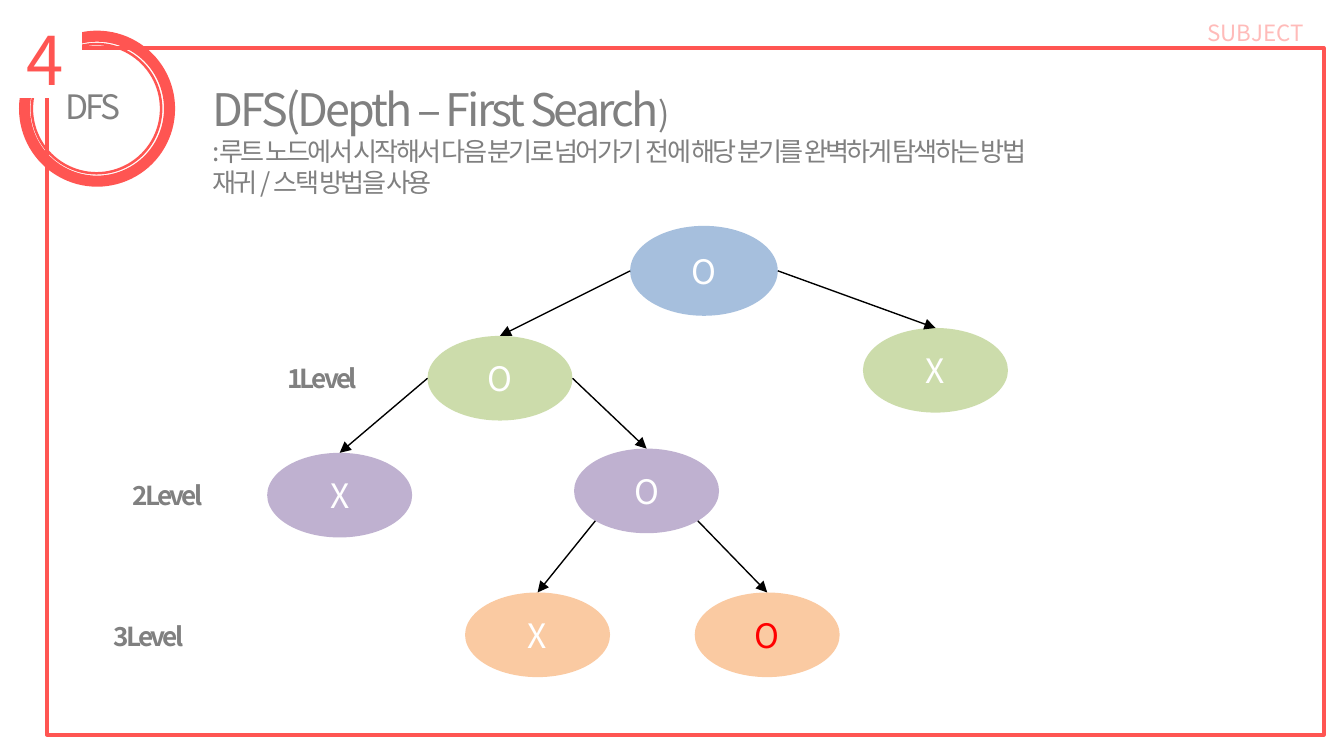
"""Build a slide that explains depth-first search with a tree of nodes."""
import math
from lxml import etree
from pptx import Presentation, util as u
from pptx.dml.color import RGBColor
from pptx.enum import shapes as kinds, text as txt
from pptx.oxml import ns

FACE = "Noto Sans CJK KR"
RED, GRAY, WHITE, BLACK = "FF5552", "808080", "FFFFFF", "000000"
BLUE, GREEN, PLUM, PEACH = "4F81BD", "9BBB59", "8064A2", "F79646"
LEFT, MID, RIGHT = txt.PP_ALIGN.LEFT, txt.PP_ALIGN.CENTER, txt.PP_ALIGN.RIGHT


def paint(fill, tone, node=None, alpha=100):
    fill.solid()
    fill.fore_color.rgb = RGBColor.from_string(tone)
    if alpha < 100:
        shade = node.find(".//" + ns.qn("a:srgbClr"))
        etree.SubElement(shade, ns.qn("a:alpha"), val=str(alpha * 1000))


def style(para, size, tone, align=LEFT, alpha=100, tight=False, bold=None):
    para.alignment = align
    for run in para.runs:
        font = run.font
        font.size, font.name, font.bold = u.Pt(size), FACE, bold
        props = run._r.get_or_add_rPr()
        paint(font.fill, tone, props, alpha)
        etree.SubElement(props, ns.qn("a:ea"), typeface=FACE)
        if tight:
            props.set("spc", "-150")
            edge = etree.Element(ns.qn("a:ln"), w="9525")
            body = etree.SubElement(edge, ns.qn("a:solidFill"))
            shade = etree.SubElement(body, ns.qn("a:srgbClr"), val=tone)
            etree.SubElement(shade, ns.qn("a:alpha"), val="43000")
            props.insert(0, edge)


deck = Presentation()
deck.slide_width, deck.slide_height = u.Cm(25.4), u.Cm(14.29)
slide = deck.slides.add_slide(deck.slide_layouts[6])
items = slide.shapes
form = kinds.MSO_SHAPE

frame = items.add_shape(form.RECTANGLE, u.Cm(0.89), u.Cm(0.91), u.Cm(24.13), u.Cm(12.98))
frame.shadow.inherit = False
frame.fill.background()
paint(frame.line.fill, RED)
frame.line.width = u.Pt(2)

badge = [
    (form.DONUT, 0.36, 0.58, 2.95, 0.071, RED),
    (form.DONUT, 0.58, 0.81, 2.49, 0.019, RED),
    (form.RECTANGLE, 0, 0.3, 1.55, None, WHITE),
]
for kind, x, y, side, ring, tone in badge:
    part = items.add_shape(kind, u.Cm(x), u.Cm(y), u.Cm(side), u.Cm(side))
    part.shadow.inherit = False
    paint(part.fill, tone)
    part.line.fill.background()
    if ring:
        part.adjustments[0] = ring

title = ["DFS(Depth – First Search",
         ":루트 노드에서 시작해서 다음 분기로 넘어가기  전에 해당 분기를 완벽하게 탐색하는 방법",
         "재귀 / 스택 방법을 사용"]
tight = {"tight": True}
label = {"tight": True, "bold": True}
notes = [
    (0.25, 0.23, 1.22, 1.8, False, ["4"], [36], RED, {}),
    (0, 1.5, 3.51, 1.02, True, ["DFS"], [18], GRAY, {"align": MID, **tight}),
    (22.3, 0.23, 2.59, 0.76, True, ["SUBJECT"], [12], RED, {"align": RIGHT, "alpha": 40}),
    (3.76, 1.42, 18.03, 3.25, False, title, [24, 14, 14], GRAY, tight),
    (5.18, 6.73, 2.92, 0.86, True, ["1Level"], [14], GRAY, label),
    (2.26, 8.94, 2.92, 0.86, True, ["2Level"], [14], GRAY, label),
    (1.9, 11.61, 2.92, 0.86, True, ["3Level"], [14], GRAY, label),
]
for x, y, w, h, wrap, lines, sizes, tone, look in notes:
    box = items.add_textbox(u.Cm(x), u.Cm(y), u.Cm(w), u.Cm(h)).text_frame
    box.word_wrap = wrap
    box.auto_size = txt.MSO_AUTO_SIZE.SHAPE_TO_FIT_TEXT
    box.text = "\n".join(lines)
    if lines is title:
        box.paragraphs[0].add_run().text = ")"
    for para, size in zip(box.paragraphs, sizes):
        style(para, size, tone, **look)
    if lines is title:
        box.paragraphs[0].runs[1].font.size = u.Pt(18)

nodes = {
    "root": (11.91, 4.27, 2.79, 1.7, BLUE, "O", WHITE),
    "one": (8.08, 6.35, 2.74, 1.6, GREEN, "O", WHITE),
    "stop": (16.31, 6.2, 2.74, 1.6, GREEN, "X", WHITE),
    "two": (5.05, 8.56, 2.74, 1.6, PLUM, "X", WHITE),
    "three": (10.85, 8.48, 2.74, 1.6, PLUM, "O", WHITE),
    "four": (8.79, 11.2, 2.74, 1.6, PEACH, "X", WHITE),
    "goal": (13.13, 11.2, 2.74, 1.6, PEACH, "O", "FF0000"),
}
for x, y, w, h, tone, mark, ink in nodes.values():
    node = items.add_shape(form.OVAL, u.Cm(x), u.Cm(y), u.Cm(w), u.Cm(h))
    node.shadow.inherit = False
    paint(node.fill, tone, node._element.spPr, 50)
    node.line.fill.background()
    node.text_frame.text = mark
    node.text_frame.vertical_anchor = txt.MSO_ANCHOR.MIDDLE
    style(node.text_frame.paragraphs[0], 18, ink, MID)

edges = [("root", "one", 180), ("root", "stop", 0), ("one", "two", 180),
         ("one", "three", 0), ("three", "four", 135), ("three", "goal", 45)]
for start, end, angle in edges:
    x, y, w, h = nodes[start][:4]
    left, top, wide = nodes[end][:3]
    turn = math.radians(angle)
    from_x = x + w / 2 * (1 + math.cos(turn))
    from_y = y + h / 2 * (1 + math.sin(turn))
    arrow = items.add_connector(kinds.MSO_CONNECTOR.STRAIGHT, u.Cm(from_x), u.Cm(from_y),
                                u.Cm(left + wide / 2), u.Cm(top))
    paint(arrow.line.fill, BLACK)
    arrow.line.width = u.Pt(0.75)
    etree.SubElement(arrow.line._get_or_add_ln(), ns.qn("a:tailEnd"), type="triangle")
    etree.SubElement(arrow._element.spPr, ns.qn("a:effectLst"))

deck.save("out.pptx")
